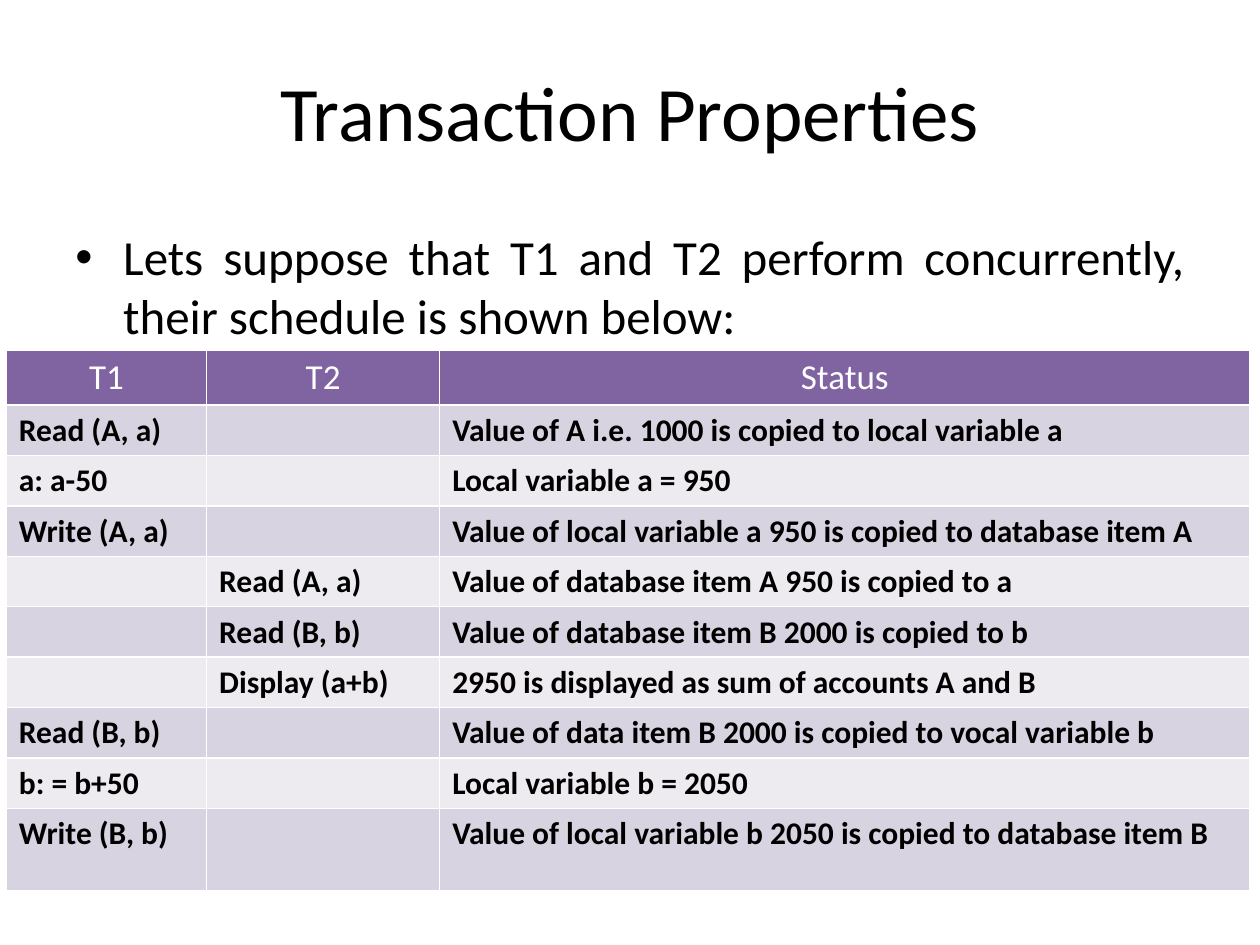
from lxml import etree
from pptx import Presentation, util as u
from pptx.dml.color import RGBColor
from pptx.enum import text
from pptx.oxml.ns import qn

BLACK = RGBColor(0x00, 0x00, 0x00)
WHITE = RGBColor(0xFF, 0xFF, 0xFF)
PURPLE = RGBColor(0x80, 0x64, 0xA2)
BANDS = (RGBColor(0xD8, 0xD3, 0xE0), RGBColor(0xED, 0xEA, 0xF0))

TITLE = {"size": u.Pt(44), "bold": False, "color": BLACK}
BODY = {"size": u.Pt(28), "bold": False, "color": BLACK}
HEADER = {"size": u.Pt(20), "bold": False, "color": WHITE}
CELL = {"size": u.Pt(18), "bold": True, "color": BLACK}

COLUMNS = (("T1", 1.59), ("T2", 1.85), ("Status", 6.43))
SCHEDULE = (
    ("Read (A, a)", "", "Value of A i.e. 1000 is copied to local variable a"),
    ("a: a-50", "", "Local variable a = 950"),
    ("Write (A, a)", "", "Value of local variable a 950 is copied to database item A"),
    ("", "Read (A, a)", "Value of database item A 950 is copied to a"),
    ("", "Read (B, b)", "Value of database item B 2000 is copied to b"),
    ("", "Display (a+b)", "2950 is displayed as sum of accounts A and B"),
    ("Read (B, b)", "", "Value of data item B 2000 is copied to vocal variable b"),
    ("b: = b+50", "", "Local variable b = 2050"),
    ("Write (B, b)", "", "Value of local variable b 2050 is copied to database item B"),
)


class SlideBuilder:
    """Draws titles, bullets and tables on a quarter-inch grid in one style."""

    font_name = "Calibri"
    grid = u.Inches(0.25)

    def __init__(self, presentation):
        self.slide = presentation.slides.add_slide(presentation.slide_layouts[5])

    def place(self, *cells):
        return [round(cell * self.grid) for cell in cells]

    def fill_paragraph(self, paragraph, words, style, alignment):
        paragraph.alignment = alignment
        font = paragraph.font
        if words:
            run = paragraph.add_run()
            run.text = words
            font = run.font
        font.name = self.font_name
        for name, value in style.items():
            if name == "color":
                font.color.rgb = value
            else:
                setattr(font, name, value)

    def title(self, words, *cells):
        shape = self.slide.shapes.title
        shape.left, shape.top, shape.width, shape.height = self.place(*cells)
        shape.text_frame.vertical_anchor = text.MSO_ANCHOR.MIDDLE
        self.fill_paragraph(shape.text_frame.paragraphs[0], words, TITLE, text.PP_ALIGN.CENTER)

    def bullet(self, words, *cells):
        frame = self.slide.shapes.add_textbox(*self.place(*cells)).text_frame
        frame.word_wrap = True
        paragraph = frame.paragraphs[0]
        properties = paragraph._p.get_or_add_pPr()
        indent = u.Inches(0.38)
        properties.set("marL", str(indent))
        properties.set("indent", str(-indent))
        etree.SubElement(properties, qn("a:buFont")).set("typeface", "Arial")
        etree.SubElement(properties, qn("a:buChar")).set("char", "•")
        self.fill_paragraph(paragraph, words, BODY, text.PP_ALIGN.JUSTIFY)

    def table(self, columns, rows, heights, *cells):
        headings, widths = zip(*columns)
        shape = self.slide.shapes.add_table(len(rows) + 1, len(columns), *self.place(*cells))
        table = shape.table
        for column, width in zip(table.columns, widths):
            column.width = u.Inches(width)
        for row, height in zip(table.rows, heights):
            row.height = u.Inches(height)
        for index, values in enumerate((headings, *rows)):
            style = CELL if index else HEADER
            fill = BANDS[(index - 1) % 2] if index else PURPLE
            alignment = text.PP_ALIGN.LEFT if index else text.PP_ALIGN.CENTER
            for cell, value in zip(table.rows[index].cells, values):
                cell.fill.solid()
                cell.fill.fore_color.rgb = fill
                self.fill_paragraph(cell.text_frame.paragraphs[0], value, style, alignment)


def main():
    presentation = Presentation()
    presentation.slide_width, presentation.slide_height = u.Inches(10), u.Inches(7.5)
    builder = SlideBuilder(presentation)
    builder.title("Transaction Properties", 2, 1, 36, 5)
    builder.bullet(
        "Lets suppose that T1 and T2 perform concurrently, their schedule is shown below:",
        2, 7, 36, 21.68,
    )
    heights = [0.43] + [0.4] * (len(SCHEDULE) - 1) + [0.65]
    builder.table(COLUMNS, SCHEDULE, heights, 0.2, 11.12, 39.48, 17.2)
    presentation.save("out.pptx")


if __name__ == "__main__":
    main()
